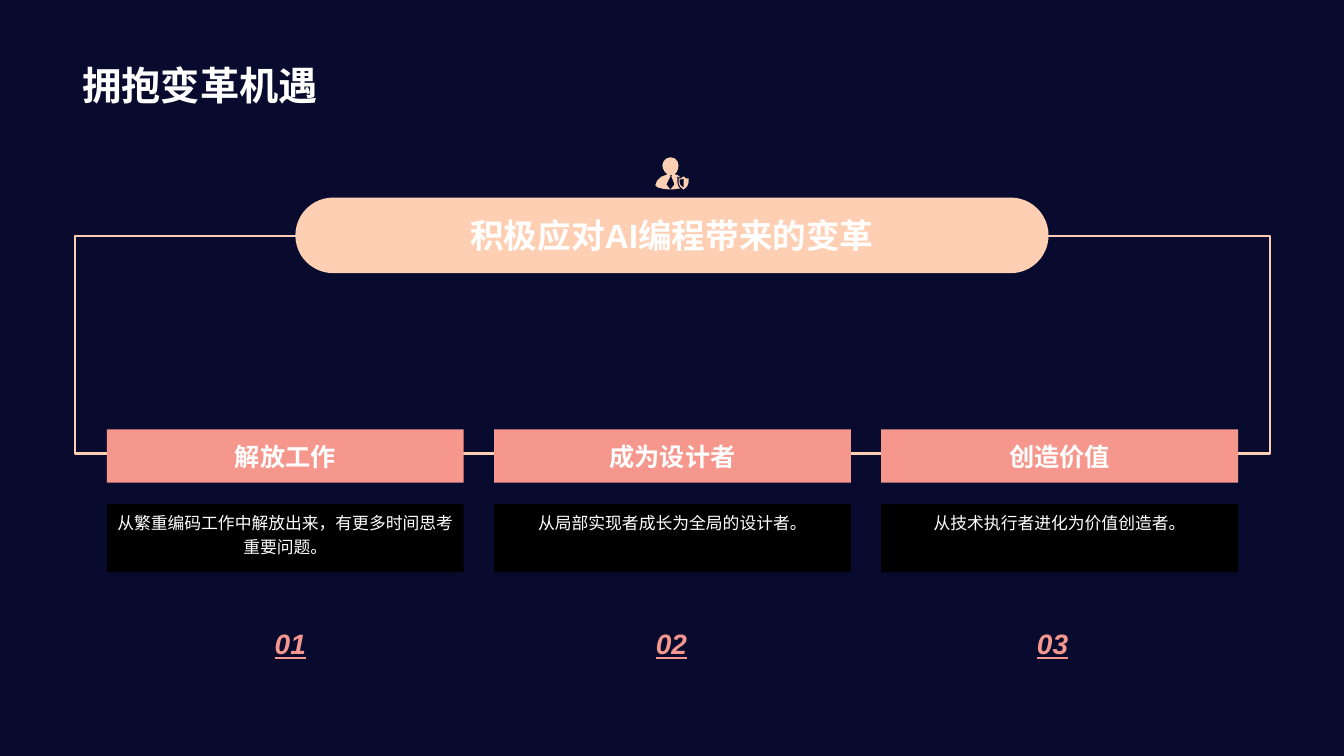
from dataclasses import dataclass

from pptx import Presentation
from pptx.dml.color import RGBColor
from pptx.enum.shapes import MSO_SHAPE
from pptx.enum.text import MSO_ANCHOR, MSO_AUTO_SIZE, PP_ALIGN
from pptx.util import Inches, Pt

RECT, PILL = MSO_SHAPE.RECTANGLE, MSO_SHAPE.ROUNDED_RECTANGLE
TOP, MIDDLE, BOTTOM = MSO_ANCHOR.TOP, MSO_ANCHOR.MIDDLE, MSO_ANCHOR.BOTTOM
LEFT, CENTER = PP_ALIGN.LEFT, PP_ALIGN.CENTER


@dataclass(frozen=True)
class Theme:
    font: str = "Arial"
    back: str = "080B2E"
    white: str = "FFFFFF"
    black: str = "000000"
    peach: str = "FFCFB3"
    coral: str = "F6978D"
    title: int = 28
    banner: int = 24
    label: int = 20
    head: int = 18
    body: int = 12


THEME = Theme()

CARDS = [
    ("解放工作", "从繁重编码工作中解放出来，有更多时间思考重要问题。"),
    ("成为设计者", "从局部实现者成长为全局的设计者。"),
    ("创造价值", "从技术执行者进化为价值创造者。"),
]

# Icon outlines in hundredths of an inch: pairs are points, sixes are curves
SHIELD_HALF = [(28, 21), (27, 22, 25, 22, 24, 22), (24, 25),
               (24, 28, 27, 29, 28, 30)]
SHIELD = [(28, 19), (30, 22, 33, 21, 33, 21), (33, 25),
          (33, 29, 28, 32, 28, 32), (28, 32, 23, 29, 23, 25), (23, 21),
          (23, 21, 26, 22, 28, 19)]
PERSON = [(15, 0), (20, 0, 23, 4, 23, 8), (23, 11, 22, 15, 19, 17),
          (21, 17, 23, 18, 25, 20), (24, 20), (22, 19), (22, 25),
          (22, 28, 23, 30, 25, 31), (22, 31, 19, 32, 15, 32), (19, 27),
          (16, 19), (17, 17), (15, 18), (13, 17), (15, 19), (11, 27),
          (15, 32), (8, 32, 0, 30, 0, 28), (0, 24, 5, 18, 12, 17),
          (9, 15, 7, 11, 7, 8), (7, 4, 11, 0, 15, 0)]


def rgb(code):
    return RGBColor.from_string(code)


def write(shape, text, size, color=THEME.white, anchor=MIDDLE, align=CENTER,
          space=None, **style):
    frame = shape.text_frame
    frame.auto_size = MSO_AUTO_SIZE.NONE
    frame.word_wrap = True
    frame.vertical_anchor = anchor
    para = frame.paragraphs[0]
    para.alignment = align
    para.line_spacing = space
    run = para.add_run()
    run.text = text
    run.font.color.rgb = rgb(color)
    values = {"name": THEME.font, "size": Pt(size), **style}
    for key, value in values.items():
        setattr(run.font, key, value)


def paint(shape, fill=None, line=None):
    shape.shadow.inherit = False
    if fill:
        shape.fill.solid()
        shape.fill.fore_color.rgb = rgb(fill)
    else:
        shape.fill.background()
    if line:
        shape.line.color.rgb = rgb(line)
        shape.line.width = Pt(1.5)
    else:
        shape.line.fill.background()


def add_box(slide, kind, box, **look):
    shape = slide.shapes.add_shape(kind, *map(Inches, box))
    paint(shape, **look)
    return shape


def trace(steps, count=3):
    """Turn points and cubic curves into a short list of points."""
    points = [steps[0]]
    for step in steps[1:]:
        if len(step) == 2:
            points.append(step)
            continue
        ends = [points[-1], step[:2], step[2:4], step[4:]]
        for i in range(1, count + 1):
            t = i / count
            parts = ((1 - t) ** 3, 3 * t * (1 - t) ** 2,
                     3 * t * t * (1 - t), t ** 3)
            points.append(tuple(sum(w * p[axis] for w, p in zip(parts, ends))
                                for axis in (0, 1)))
    return points


def add_icon(slide, left, top):
    pen = None
    for steps in (PERSON, SHIELD, SHIELD_HALF):
        points = [(Inches(left + x / 100), Inches(top + y / 100))
                  for x, y in trace(steps)]
        if pen is None:
            pen = slide.shapes.build_freeform(*points[0])
        else:
            pen.move_to(*points[0])
        pen.add_line_segments(points[1:], close=True)
    paint(pen.convert_to_shape(), THEME.peach)


def add_title(slide, text):
    title = slide.shapes.title
    box = dict(left=0.72, top=0.15, width=11.88, height=0.98)
    for key, value in box.items():
        setattr(title, key, Inches(value))
    write(title, text, THEME.title, anchor=BOTTOM, align=LEFT, bold=True)


def add_card(slide, index, head, body):
    left = 1.06 + 3.84 * index
    note = add_box(slide, RECT, (left, 5, 3.54, 0.68), fill=THEME.black)
    write(note, body, THEME.body, anchor=TOP, space=1.2)
    bar = add_box(slide, RECT, (left, 4.26, 3.54, 0.53), fill=THEME.coral)
    write(bar, head, THEME.head, bold=True)
    spot = (2.03 + 3.78 * index, 6.06, 1.7, 0.65)
    label = slide.shapes.add_textbox(*map(Inches, spot))
    write(label, f"{index + 1:02}", THEME.label, THEME.coral,
          bold=True, italic=True, underline=True)


def main():
    deck = Presentation()
    deck.slide_width, deck.slide_height = Inches(13.33), Inches(7.5)
    slide = deck.slides.add_slide(deck.slide_layouts[5])
    slide.background.fill.solid()
    slide.background.fill.fore_color.rgb = rgb(THEME.back)

    add_title(slide, "拥抱变革机遇")

    # Frame and banner
    add_box(slide, RECT, (0.74, 2.34, 11.86, 2.16), line=THEME.peach)
    banner = add_box(slide, PILL, (2.93, 1.96, 7.47, 0.75), fill=THEME.peach)
    banner.adjustments[0] = 0.5
    write(banner, "积极应对AI编程带来的变革", THEME.banner, bold=True)
    add_icon(slide, 6.5, 1.56)

    # Three numbered cards
    for index, (head, body) in enumerate(CARDS):
        add_card(slide, index, head, body)

    deck.save("out.pptx")


if __name__ == "__main__":
    main()
